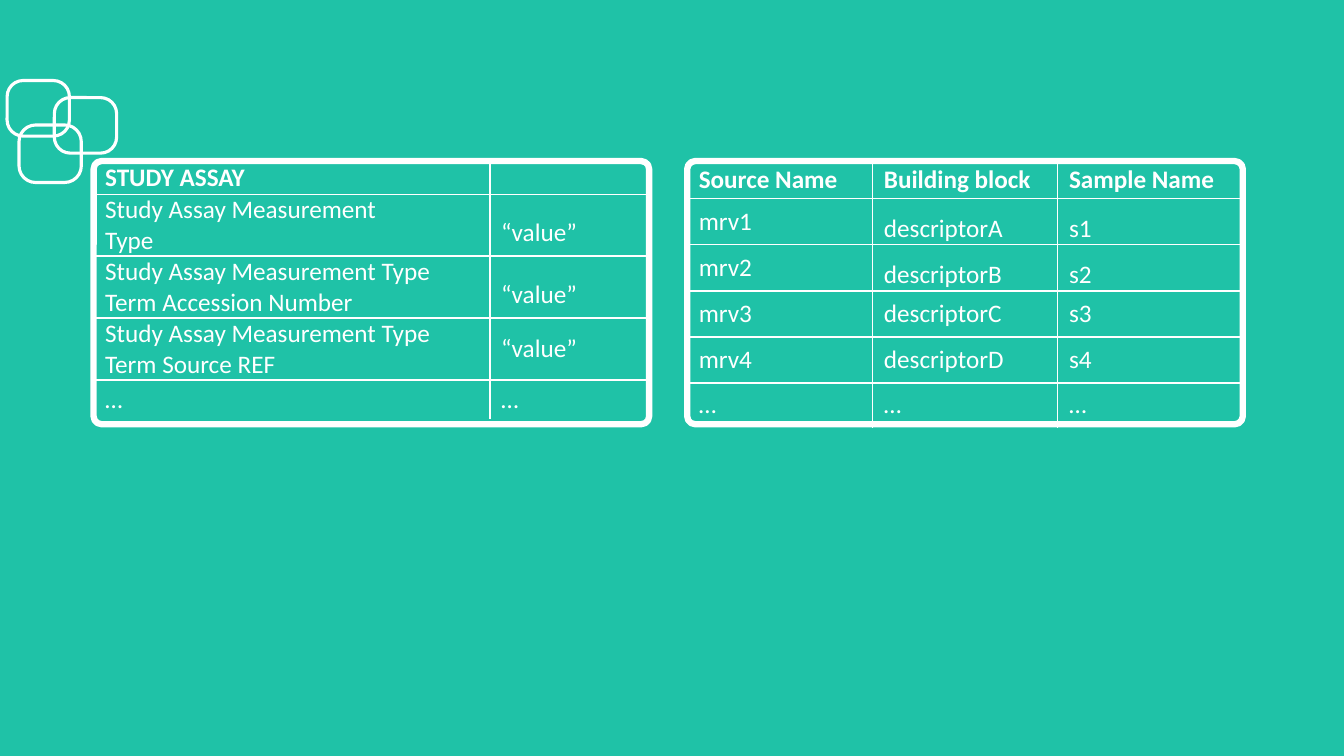
from lxml.etree import SubElement
from pptx import Presentation
from pptx.dml.color import RGBColor
from pptx.enum.shapes import MSO_SHAPE
from pptx.enum.text import MSO_ANCHOR
from pptx.oxml.ns import qn
from pptx.util import Cm, Pt

COLORS = {"background": "1FC2A7", "foreground": "FFFFFF"}
FONT = "Calibri"
TABLE_TOP = 4.06
TABLE_WIDTH = 14
FRAME_HEIGHT = 6.63

ASSAY_ROWS = [
    ["STUDY ASSAY", ""],
    ["Study Assay Measurement\vType", "“value”"],
    ["Study Assay Measurement Type\vTerm Accession Number", "“value”"],
    ["Study Assay Measurement Type\vTerm Source REF", "“value”"],
    ["…", "…"],
]
SAMPLE_ROWS = [
    ["Source Name", "Building block", "Sample Name"],
    ["mrv1", "descriptorA", "s1"],
    ["mrv2", "descriptorB", "s2"],
    ["mrv3", "descriptorC", "s3"],
    ["mrv4", "descriptorD", "s4"],
    ["…", "…", "…"],
]


def color(name):
    return RGBColor.from_string(COLORS[name])


def add_outline(shapes, left, top, width, height, radius, weight):
    box = shapes.add_shape(
        MSO_SHAPE.ROUNDED_RECTANGLE, Cm(left), Cm(top), Cm(width), Cm(height)
    )
    box.adjustments[0] = radius
    box.shadow.inherit = False
    box.fill.background()
    box.line.color.rgb = color("foreground")
    box.line.width = Pt(weight)


def add_border(cell, side, visible):
    properties = cell._tc.get_or_add_tcPr()
    line = SubElement(properties, qn(f"a:ln{side}"), w=str(Pt(1.5)))
    if visible:
        fill = SubElement(line, qn("a:solidFill"))
        SubElement(fill, qn("a:srgbClr"), val=COLORS["foreground"])
    else:
        SubElement(line, qn("a:noFill"))


def write_cell(cell, text, bold, spacing):
    cell.margin_left = Cm(0.29)
    cell.margin_right = cell.margin_top = cell.margin_bottom = 0
    cell.vertical_anchor = MSO_ANCHOR.MIDDLE
    cell.text = text
    para = cell.text_frame.paragraphs[0]
    if spacing:
        para.line_spacing = spacing
    para.font.name = FONT
    para.font.size = Pt(18)
    para.font.bold = bold
    para.font.color.rgb = color("foreground")


def add_grid(page, left, rows, widths, heights):
    table = page.shapes.add_table(
        len(rows), len(widths), Cm(left), Cm(TABLE_TOP), Cm(sum(widths)), Cm(sum(heights))
    ).table
    table.first_row = table.horz_banding = False
    for column, width in zip(table.columns, widths):
        column.width = Cm(width)
    for row, height in zip(table.rows, heights):
        row.height = Cm(height)
    last_row, last_column = len(rows) - 1, len(widths) - 1
    for r, texts in enumerate(rows):
        for c, text in enumerate(texts):
            cell = table.cell(r, c)
            spacing = 1.5 if r in (1, 2) and c > 0 else None
            write_cell(cell, text, r == 0, spacing)
            inner = {"L": c > 0, "R": c < last_column, "T": r > 0, "B": r < last_row}
            for side, visible in inner.items():
                add_border(cell, side, visible)
            cell.fill.background()


def add_emblem(page):
    group = page.shapes.add_group_shape()
    for left, top, height in [(0.18, 2.03, 1.4), (1.37, 2.46, 1.4), (0.48, 3.15, 1.45)]:
        add_outline(group.shapes, left, top, 1.57, height, 0.29, 2.25)


def main():
    deck = Presentation()
    deck.slide_width, deck.slide_height = Cm(33.87), Cm(19.05)
    page = deck.slides.add_slide(deck.slide_layouts[6])
    page.background.fill.solid()
    page.background.fill.fore_color.rgb = color("background")
    add_emblem(page)
    tables = [
        (2.36, ASSAY_ROWS, [9.98, 4.02], [0.84] + [1.56] * 3 + [0.97]),
        (17.32, SAMPLE_ROWS, [TABLE_WIDTH / 3] * 3, [0.94] + [1.16] * 4 + [1.13]),
    ]
    for left, rows, widths, heights in tables:
        add_grid(page, left, rows, widths, heights)
        add_outline(page.shapes, left, TABLE_TOP, TABLE_WIDTH, FRAME_HEIGHT, 0.03, 4.5)
    deck.save("out.pptx")


if __name__ == "__main__":
    main()
